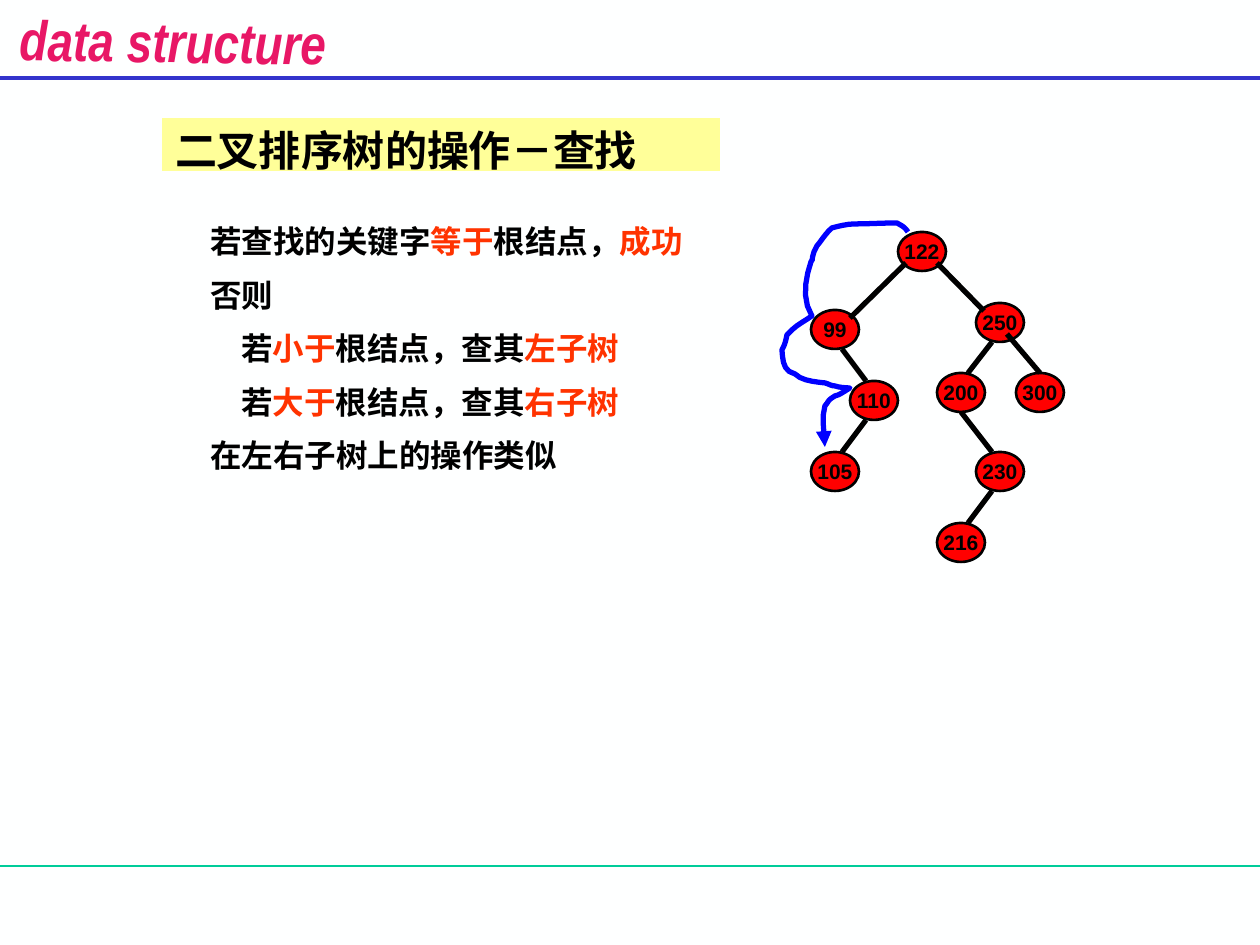
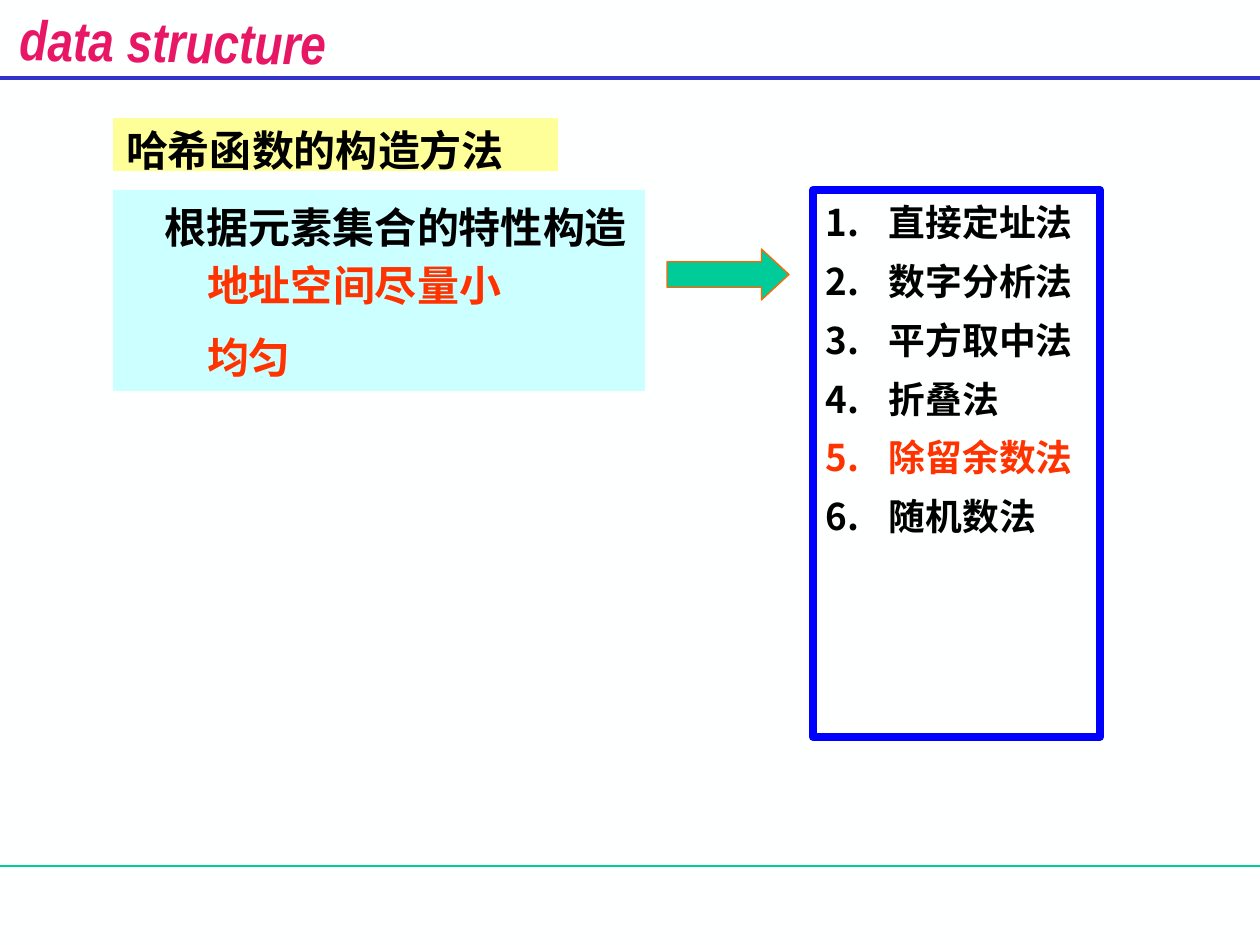
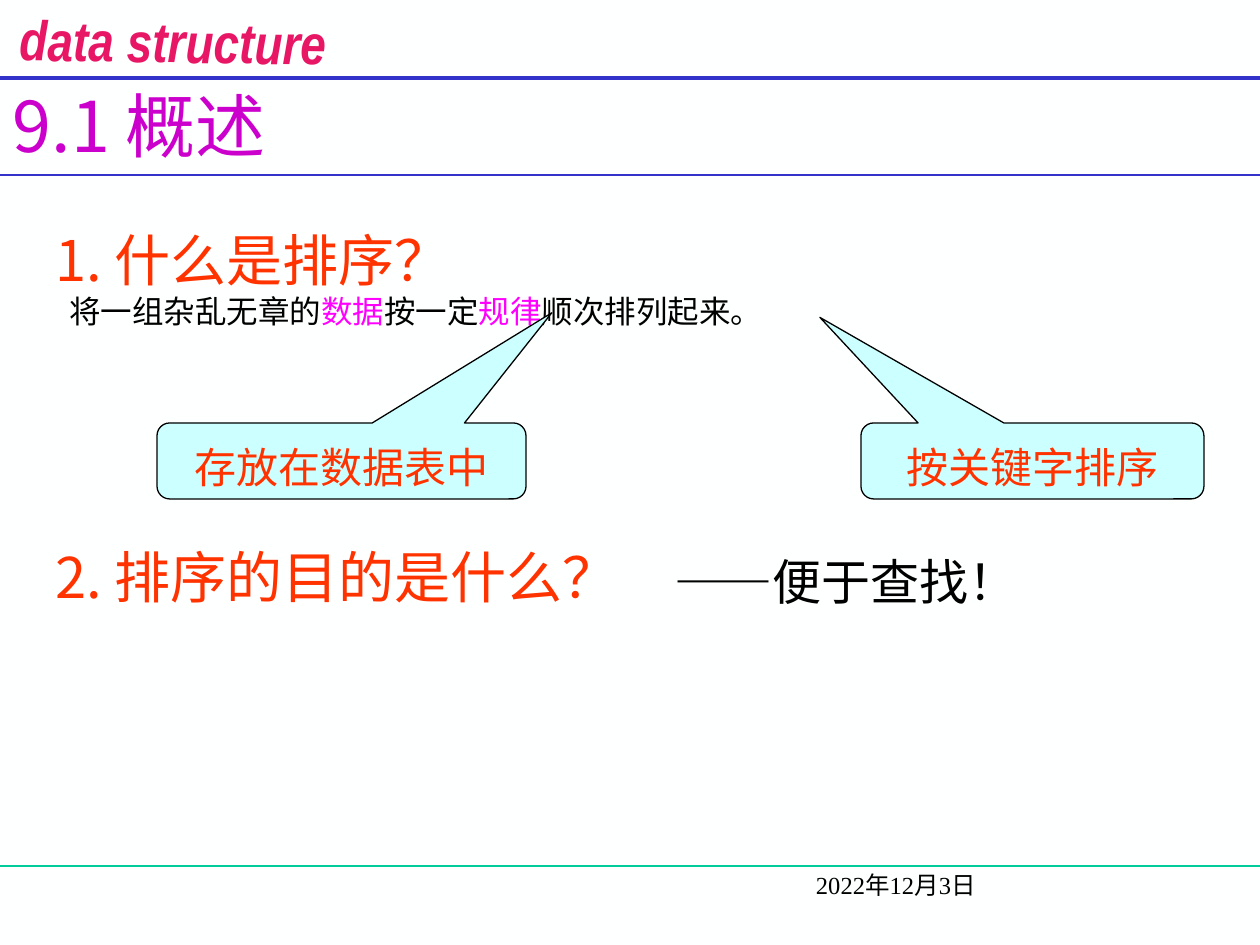
from dataclasses import dataclass

import lxml.etree
import pptx
import pptx.dml.color
import pptx.enum.shapes
import pptx.enum.text
import pptx.oxml
import pptx.oxml.ns
import pptx.util

SHAPE = pptx.enum.shapes.MSO_SHAPE
ALIGN = pptx.enum.text.PP_ALIGN
ANCHOR = pptx.enum.text.MSO_ANCHOR
EMU_PER_PX = 914400 / 126


@dataclass(frozen=True)
class Theme:
    paper: str = "FEFFFF"
    ink: str = "000000"
    accent: str = "FF3300"
    keyword: str = "FF00FF"
    chapter: str = "CC00CC"
    banner: str = "E81766"
    rule: str = "3333CC"
    green: str = "00CC99"
    title_fill: str = "FFFF99"
    panel_fill: str = "CCFFFF"
    node: str = "FF0000"
    blue: str = "0000FF"
    arrow_edge: str = "FF6600"
    sans: str = "Noto Sans CJK SC"
    serif: str = "Times New Roman"
    label: str = "Arial"
    narrow: str = "Arial Narrow"
    chapter_size: int = 40
    heading: int = 32
    answer: int = 28
    large: int = 24
    listing: int = 21
    text: int = 18
    date: int = 14
    small: int = 12
    leading: float = 1.2


THEME = Theme()


def px(length):
    return pptx.util.Emu(round(length * EMU_PER_PX))


def rgb(code):
    return pptx.dml.color.RGBColor.from_string(code)


def place(shape, box):
    shape.left, shape.top, shape.width, shape.height = map(px, box)
    return shape


def paint(shape, fill=None, line=None, width=0.75):
    """Set fill and outline; None leaves that part empty."""
    if fill:
        shape.fill.solid()
        shape.fill.fore_color.rgb = rgb(fill)
    else:
        shape.fill.background()
    if line:
        shape.line.color.rgb = rgb(line)
        shape.line.width = pptx.util.Pt(width)
    else:
        shape.line.fill.background()


def add_shape(page, kind, box, fill, line=None, width=0.75):
    shape = page.shapes.add_shape(kind, *map(px, box))
    shape.shadow.inherit = False
    paint(shape, fill, line, width)
    return shape


def add_line(page, start, end, color, width):
    line = page.shapes.add_connector(
        pptx.enum.shapes.MSO_CONNECTOR.STRAIGHT, *map(px, (*start, *end)))
    line.line.color.rgb = rgb(color)
    line.line.width = pptx.util.Pt(width)
    properties = line.element.find(pptx.oxml.ns.qn("p:spPr"))
    lxml.etree.SubElement(properties, pptx.oxml.ns.qn("a:effectLst"))
    return line


def set_frame(shape, side=13, top=11, wrap=True, anchor=ANCHOR.TOP):
    frame = shape.text_frame
    frame.auto_size = pptx.enum.text.MSO_AUTO_SIZE.NONE
    frame.word_wrap = wrap
    frame.vertical_anchor = anchor
    frame.margin_left = frame.margin_right = px(side)
    frame.margin_top, frame.margin_bottom = px(top), 0
    return frame


def set_font(font, size, name, color, bold):
    font.size, font.name, font.bold = pptx.util.Pt(size), name, bold
    font.color.rgb = rgb(color)
    east_asian = font._element.find(pptx.oxml.ns.qn("a:ea"))
    if east_asian is None:
        east_asian = pptx.oxml.ns.qn("a:ea")
        latin = font._element.find(pptx.oxml.ns.qn("a:latin"))
        element = lxml.etree.Element(east_asian, typeface=THEME.sans)
        latin.addnext(element)


def set_bullet(para, numbered):
    properties = para._p.get_or_add_pPr()
    tag = "a:buAutoNum" if numbered else "a:buNone"
    bullet = lxml.etree.Element(pptx.oxml.ns.qn(tag))
    if numbered:
        bullet.set("type", "arabicPeriod")
    properties.insert_element_before(bullet, "a:tabLst", "a:defRPr", "a:extLst")


def write(frame, lines, size, name=THEME.sans, color=THEME.ink, bold=False,
          align=ALIGN.LEFT, before=0.0, left=0, first=0, numbered=False):
    """Fill a frame; a line is a text or a list of texts and (text, colour) pairs."""
    paras = []
    for index, line in enumerate(lines):
        para = frame.paragraphs[0] if index == 0 else frame.add_paragraph()
        para.alignment = align
        para.line_spacing = pptx.util.Pt(round(size * THEME.leading, 1))
        para.space_before = pptx.util.Pt(round(size * before, 1) if index else 0)
        para.space_after = pptx.util.Pt(0)
        set_font(para.font, size, name, color, bold)
        set_bullet(para, numbered)
        indent(para, left, first)
        for span in [line] if isinstance(line, str) else line:
            text, span_color = (span, None) if isinstance(span, str) else span
            run = para.add_run()
            run.text = text
            if span_color:
                run.font.color.rgb = rgb(span_color)
        paras.append(para)
    return paras


def indent(para, left, first=0):
    properties = para._p.get_or_add_pPr()
    properties.set("marL", str(px(left)))
    properties.set("indent", str(px(first)))


def add_note(page, box, text, size, **style):
    note = page.shapes.add_textbox(*map(px, box))
    return write(set_frame(note), [text], size, **style)[0]


def add_page(deck, layout):
    return deck.slides.add_slide(deck.slide_layouts.get_by_name(layout))


def add_title_band(page, box, text):
    title = place(page.shapes.title, box)
    paint(title, THEME.title_fill)
    write(set_frame(title, top=6), [text], THEME.large, bold=True)


def move_to_master(deck, page):
    """Draw the banner and rules and hand them to the master."""
    master = deck.slide_master
    master.background.fill.solid()
    master.background.fill.fore_color.rgb = rgb(THEME.paper)
    banner = page.shapes.add_textbox(*map(px, (29, 0, 288, 68)))
    banner.rotation = 0.8
    para = write(set_frame(banner, side=0, top=7, wrap=False), ["data structure"],
                 THEME.heading, THEME.narrow, THEME.banner, True, ALIGN.CENTER)[0]
    para.font.italic = True
    shared = [add_line(page, (0, 866), (1260, 866), THEME.green, 0.75),
              add_line(page, (0, 78), (1260, 78), THEME.rule, 2.25), banner]
    for shape in shared:
        master.shapes.element.append(shape.element)


NODE_SIZE = (48, 39)
NODES = {"122": (87, 0), "250": (165, 71), "300": (205, 141), "110": (39, 149),
         "200": (126, 141), "99": (0, 78), "105": (0, 220), "230": (165, 220),
         "216": (126, 291)}
# Parent, child, and where the edge touches each of them.
EDGES = [("122", "99", (8, 31), (39, 8)), ("122", "250", (39, 31), (8, 8)),
         ("250", "300", (31, 31), (24, 0)), ("250", "200", (16, 39), (31, 0)),
         ("99", "110", (31, 39), (16, 0)), ("110", "105", (16, 39), (31, 0)),
         ("200", "230", (24, 39), (16, 0)), ("230", "216", (16, 39), (31, 0))]
# Start, then two control points and an end point for each bend.
SEARCH_PATH = [
    (97, 0),
    (94, -5), (91, -6), (86, -9), (72, -9), (57, -8), (43, -8),
    (35, -8), (21, -4), (21, -4), (15, 1), (11, 8), (6, 14),
    (5, 16), (4, 18), (3, 20), (-1, 33), (4, 23), (0, 30),
    (-6, 48), (-9, 68), (1, 84), (-9, 91), (-15, 93), (-24, 103),
    (-25, 108), (-26, 113), (-29, 118), (-28, 129), (-28, 139), (-16, 142),
    (-9, 149), (5, 150), (14, 151), (18, 152), (20, 154), (24, 154),
    (29, 156), (39, 156), (39, 156), (34, 159), (29, 163), (24, 164),
    (16, 169), (19, 168), (14, 174), (10, 188), (14, 202), (14, 215)]


def bezier_points(points, steps=5):
    for first in range(0, len(points) - 1, 3):
        bend = points[first:first + 4]
        for step in range(1, steps + 1):
            t = step / steps
            weights = ((1 - t) ** 3, 3 * t * (1 - t) ** 2, 3 * t * t * (1 - t), t ** 3)
            yield tuple(sum(weight * point[axis] for weight, point in zip(weights, bend))
                        for axis in (0, 1))


def add_search_tree(page, left, top):
    def spot(*offsets):
        return (left + sum(x for x, _ in offsets), top + sum(y for _, y in offsets))

    for key, corner in NODES.items():
        node = add_shape(page, SHAPE.OVAL, (*spot(corner), *NODE_SIZE),
                         THEME.node, THEME.ink, 1.5)
        write(set_frame(node, side=0, top=0, wrap=False, anchor=ANCHOR.MIDDLE), [key],
              THEME.small, THEME.label, bold=True, align=ALIGN.CENTER)
    for parent, child, leave, arrive in EDGES:
        add_line(page, spot(NODES[parent], leave), spot(NODES[child], arrive),
                 THEME.ink, 3)

    builder = page.shapes.build_freeform(*map(px, spot(SEARCH_PATH[0])))
    builder.add_line_segments([tuple(map(px, spot(point)))
                               for point in bezier_points(SEARCH_PATH)], close=False)
    route = builder.convert_to_shape()
    route.shadow.inherit = False
    paint(route, None, THEME.blue, 3)
    lxml.etree.SubElement(route.line._get_or_add_ln(),
                          pptx.oxml.ns.qn("a:tailEnd"), type="triangle")


def fill_search_page(page):
    add_title_band(page, (162, 118, 558, 53), "二叉排序树的操作－查找")
    body = place(page.placeholders[1], (149, 213, 571, 280))
    red = THEME.accent
    paras = write(set_frame(body, top=9), [
        ["若查找的关键字", ("等于", red), "根结点，", ("成功", red)],
        "否则",
        ["若", ("小于", red), "根结点，查其", ("左子树", red)],
        ["若", ("大于", red), "根结点，查其", ("右子树", red)],
        "在左右子树上的操作类似",
    ], THEME.text, bold=True, before=0.5, left=48)
    for branch in paras[2:4]:
        indent(branch, 79)
    add_search_tree(page, 811, 232)


def fill_hash_page(page):
    add_title_band(page, (113, 118, 445, 53), "哈希函数的构造方法")
    panel = place(page.placeholders[1], (113, 190, 532, 201))
    paint(panel, THEME.panel_fill)
    paras = write(set_frame(panel), [
        "根据元素集合的特性构造",
        [("地址空间尽量小", THEME.accent)],
        [("均匀", THEME.accent)],
    ], THEME.large, bold=True, before=0.2, left=39)
    for goal in paras[1:]:
        indent(goal, 81)
    paras[2].space_before = pptx.util.Pt(THEME.large / 2)

    methods = place(page.placeholders[2], (813, 190, 287, 547))
    paint(methods, None, THEME.blue, 4.5)
    write(set_frame(methods, top=10), [
        "直接定址法", "数字分析法", "平方取中法", "折叠法",
        [("除留余数法", THEME.accent)], "随机数法",
    ], THEME.listing, bold=True, before=0.4, left=63, first=-63, numbered=True)

    arrow = add_shape(page, SHAPE.RIGHT_ARROW, (667, 249, 122, 51),
                      THEME.green, THEME.arrow_edge)
    arrow.adjustments[0], arrow.adjustments[1] = 0.5, 0.54


def add_callout(page, box, tip, text):
    callout = add_shape(page, SHAPE.ROUNDED_RECTANGULAR_CALLOUT, box,
                        THEME.panel_fill, THEME.ink)
    callout.adjustments[0], callout.adjustments[1] = tip
    write(set_frame(callout, top=15), [text], THEME.large, THEME.serif,
          THEME.accent, align=ALIGN.CENTER)


def fill_overview_page(page):
    title = place(page.shapes.title, (0, 71, 848, 94))
    write(set_frame(title, top=12), ["9.1 概述"], THEME.chapter_size, color=THEME.chapter)
    add_line(page, (0, 175), (1260, 175), THEME.rule, 1)

    body = place(page.placeholders[1], (42, 214, 1187, 139))
    pink = THEME.keyword
    definition = write(set_frame(body), [
        [("1. 什么是排序？", THEME.accent)],
        ["将一组杂乱无章的", ("数据", pink), "按一定", ("规律", pink), "顺次排列起来。"],
    ], THEME.heading)[1]
    definition.font.size = pptx.util.Pt(THEME.text)
    definition.line_spacing = pptx.util.Pt(round(THEME.text * THEME.leading, 1))
    indent(definition, 14)

    add_note(page, (42, 532, 648, 79), "2. 排序的目的是什么？", THEME.heading,
             color=THEME.accent)
    add_callout(page, (157, 423, 369, 76), (0.57, -1.95), "存放在数据表中")
    add_callout(page, (861, 423, 343, 76), (-0.62, -1.89), "按关键字排序")
    answer = add_note(page, (662, 541, 394, 72), ["——", "便于查找！"], THEME.answer)
    answer.runs[0].font.name = THEME.serif
    add_note(page, (803, 859, 457, 63), "2022年12月3日", THEME.date, name=THEME.serif)


def main():
    deck = pptx.Presentation()
    deck.slide_width, deck.slide_height = px(1260), px(945)
    search_page = add_page(deck, "Title and Content")
    move_to_master(deck, search_page)
    fill_search_page(search_page)
    fill_hash_page(add_page(deck, "Two Content"))
    fill_overview_page(add_page(deck, "Title and Content"))
    deck.save("out.pptx")


if __name__ == "__main__":
    main()
